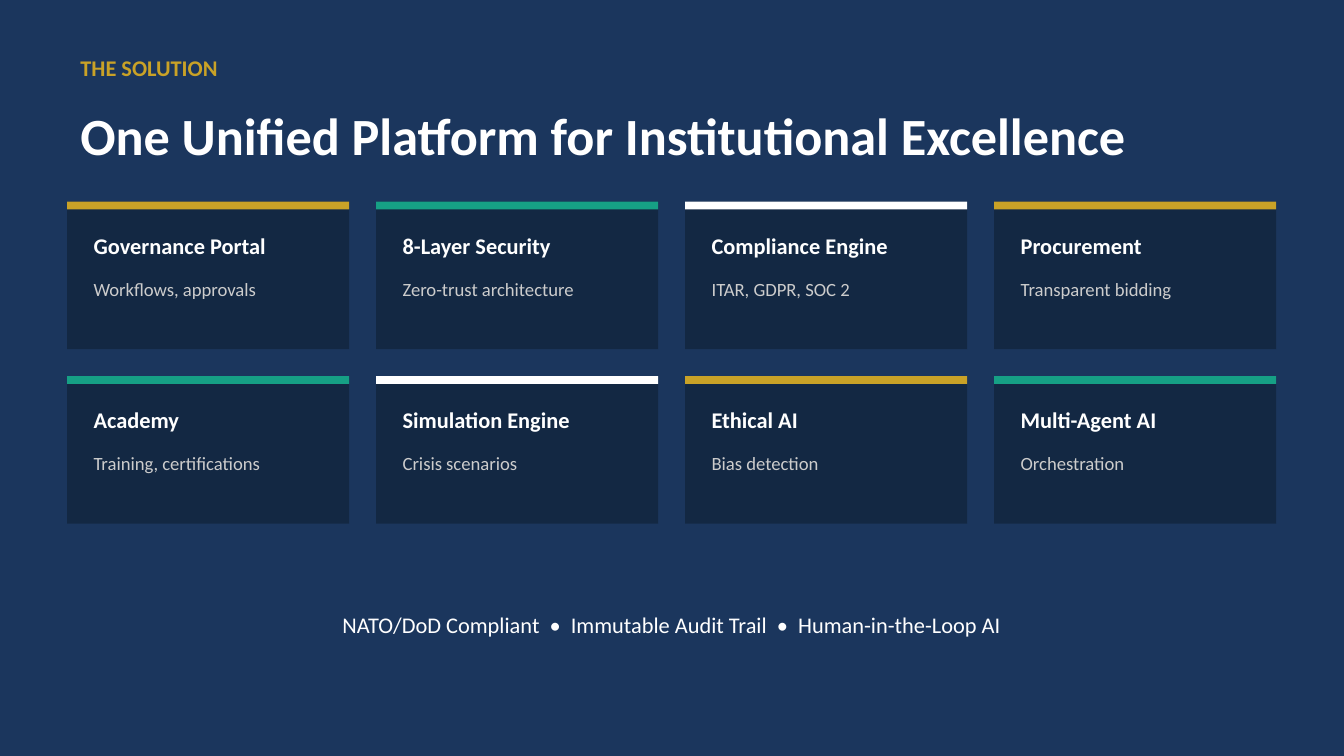
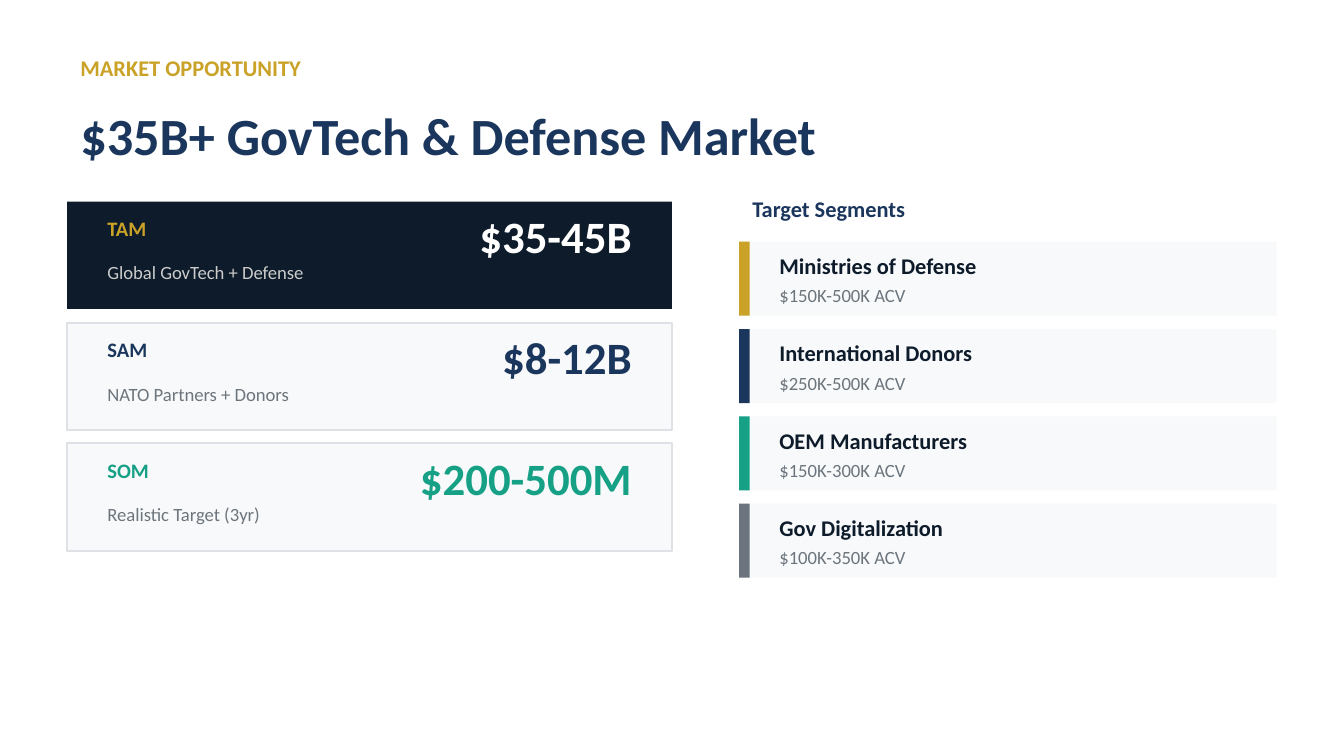
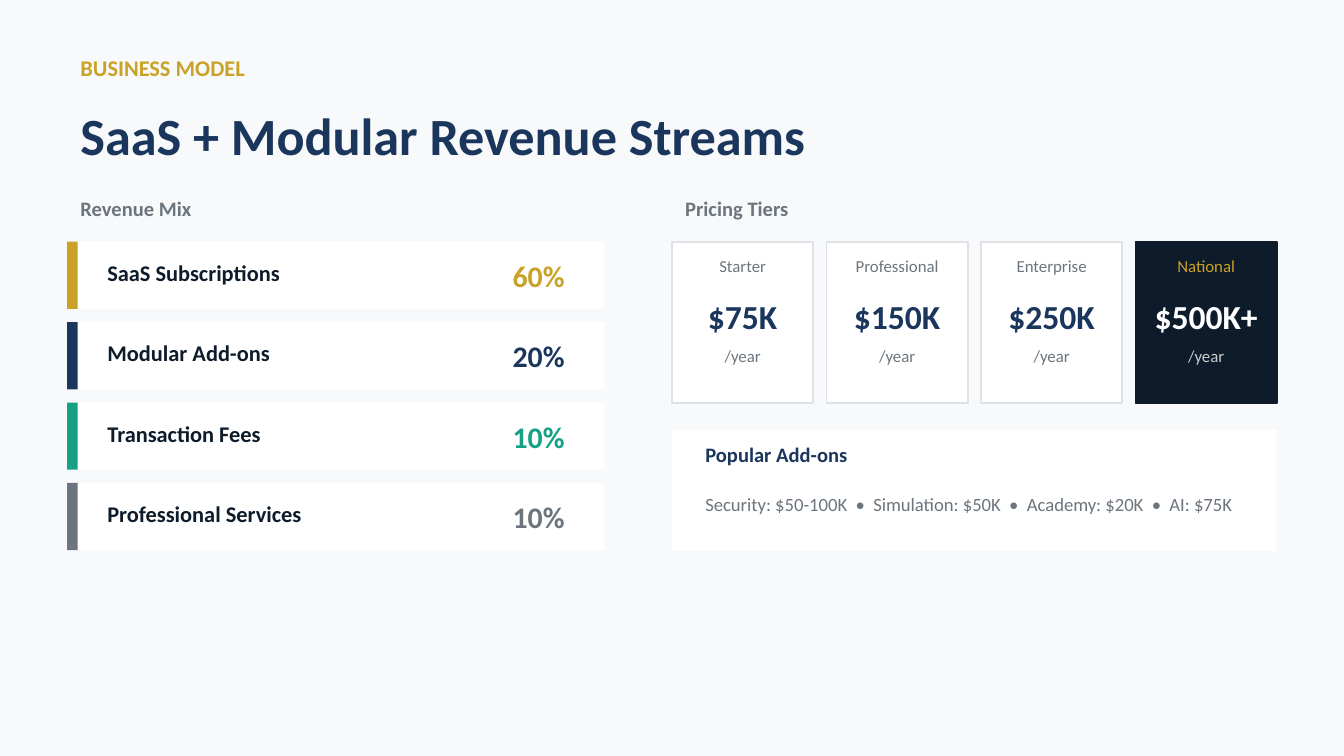
from lxml import etree
from pptx import Presentation
from pptx.dml.color import RGBColor
from pptx.enum.shapes import MSO_SHAPE
from pptx.enum.text import MSO_ANCHOR, PP_ALIGN
from pptx.oxml.ns import qn
from pptx.util import Cm, Pt

RECT = MSO_SHAPE.RECTANGLE
MIDDLE = MSO_ANCHOR.MIDDLE
LEFT, CENTER, RIGHT = PP_ALIGN.LEFT, PP_ALIGN.CENTER, PP_ALIGN.RIGHT

NAVY = RGBColor(0x1B, 0x36, 0x5D)
INK = RGBColor(0x0D, 0x1B, 0x2A)
GOLD = RGBColor(0xC9, 0xA2, 0x27)
TEAL = RGBColor(0x16, 0xA0, 0x85)
WHITE = RGBColor(0xFF, 0xFF, 0xFF)
PALE = RGBColor(0xF8, 0xF9, 0xFA)
BORDER = RGBColor(0xDE, 0xE2, 0xE6)
GRAY = RGBColor(0x6C, 0x75, 0x7D)
SILVER = RGBColor(0xCC, 0xCC, 0xCC)

FONT = "Calibri"
SLIDE_W, SLIDE_H = 25.4, 14.29
MARGIN = 1.27
ACCENT_W = 0.2
DOT = "  •  "


def add_text(s, text, x, y, w, h, size=12, color=INK, bold=False, align=LEFT):
    """Add a one-paragraph text box, centred vertically."""
    tf = s.shapes.add_textbox(Cm(x), Cm(y), Cm(w), Cm(h)).text_frame
    tf.word_wrap = True
    tf.vertical_anchor = MIDDLE
    p = tf.paragraphs[0]
    p.alignment = align
    r = p.add_run()
    r.text = text
    r.font.name = FONT
    r.font.size = Pt(size)
    r.font.bold = bold
    r.font.color.rgb = color


def add_rect(s, x, y, w, h, fill, line=None, alpha=None):
    """Add a flat rectangle with an optional border and opacity in percent."""
    sp = s.shapes.add_shape(RECT, Cm(x), Cm(y), Cm(w), Cm(h))
    sp.shadow.inherit = False
    sp.fill.solid()
    sp.fill.fore_color.rgb = fill
    if alpha is not None:
        clr = sp._element.spPr.find(".//" + qn("a:srgbClr"))
        etree.SubElement(clr, qn("a:alpha")).set("val", str(alpha * 1000))
    if line is None:
        sp.line.fill.background()
    else:
        sp.line.color.rgb = line
        sp.line.width = Pt(1)


def add_slide(prs, background, kicker, title, title_color=NAVY, kicker_w=7.62):
    """Add a blank slide with its background, kicker and title."""
    s = prs.slides.add_slide(prs.slide_layouts[6])
    s.background.fill.solid()
    s.background.fill.fore_color.rgb = background
    add_text(s, kicker, MARGIN, 0.76, kicker_w, 1.02, color=GOLD, bold=True)
    add_text(s, title, MARGIN, 1.78, 22.86, 1.52, size=28, color=title_color, bold=True)
    return s


def add_module_card(s, x, y, name, detail, accent):
    """Add a translucent card with a coloured top edge."""
    add_rect(s, x, y, 5.33, 2.79, INK, alpha=50)
    add_rect(s, x, y, 5.33, 0.15, accent)
    add_text(s, name, x + 0.25, y + 0.38, 4.83, 0.89, color=WHITE, bold=True)
    add_text(s, detail, x + 0.25, y + 1.27, 4.83, 0.76, size=10, color=SILVER)


def add_market_card(s, y, name, value, detail, colors, value_w=4.57):
    """Add a market-size card; colors are fill, line, name, value and detail."""
    fill, line, name_color, value_color, detail_color = colors
    x = MARGIN + 0.51
    add_rect(s, MARGIN, y, 11.43, 2.03, fill, line=line)
    add_text(s, name, x, y + 0.13, 2.54, 0.76, size=11, color=name_color, bold=True)
    add_text(s, value, 12.19 - value_w, y + 0.13, value_w, 1.02, size=24,
             color=value_color, bold=True, align=RIGHT)
    add_text(s, detail, x, y + 1.02, 7.62, 0.64, size=10, color=detail_color)


def add_accent_row(s, x, y, h, fill, accent):
    """Add a row panel with a coloured left edge."""
    add_rect(s, x, y, 10.16, h, fill)
    add_rect(s, x, y, ACCENT_W, h, accent)


def add_segment(s, y, name, detail, accent):
    """Add a target segment row."""
    x = 13.97
    add_accent_row(s, x, y, 1.4, PALE, accent)
    add_text(s, name, x + 0.51, y + 0.13, 8.89, 0.64, bold=True)
    add_text(s, detail, x + 0.51, y + 0.76, 8.89, 0.51, size=10, color=GRAY)


def add_revenue_row(s, y, name, share, accent):
    """Add a revenue stream row with its share."""
    add_accent_row(s, MARGIN, y, 1.27, WHITE, accent)
    add_text(s, name, MARGIN + 0.51, y + 0.2, 6.35, 0.76, bold=True)
    add_text(s, share, 8.89, y + 0.13, 2.03, 1.02, size=16, color=accent,
             bold=True, align=RIGHT)


def add_price_tier(s, x, name, price, featured):
    """Add a pricing tier, dark when featured."""
    y, w = 4.57, 2.67
    fill, line, name_color, price_color, unit_color = (
        (INK, INK, GOLD, WHITE, SILVER) if featured
        else (WHITE, BORDER, GRAY, NAVY, GRAY))
    add_rect(s, x, y, w, 3.05, fill, line=line)
    add_text(s, name, x, y + 0.13, w, 0.64, size=9, color=name_color, align=CENTER)
    add_text(s, price, x, y + 0.89, w, 1.02, size=18, color=price_color,
             bold=True, align=CENTER)
    add_text(s, "/year", x, y + 1.9, w, 0.51, size=9, color=unit_color, align=CENTER)


def build_solution(prs):
    """Build the platform overview slide."""
    s = add_slide(prs, NAVY, "THE SOLUTION",
                  "One Unified Platform for Institutional Excellence", title_color=WHITE)
    modules = [
        ("Governance Portal", "Workflows, approvals"),
        ("8-Layer Security", "Zero-trust architecture"),
        ("Compliance Engine", "ITAR, GDPR, SOC 2"),
        ("Procurement", "Transparent bidding"),
        ("Academy", "Training, certifications"),
        ("Simulation Engine", "Crisis scenarios"),
        ("Ethical AI", "Bias detection"),
        ("Multi-Agent AI", "Orchestration"),
    ]
    accents = [GOLD, TEAL, WHITE]
    for i, (name, detail) in enumerate(modules):
        row, col = divmod(i, 4)
        add_module_card(s, MARGIN + col * 5.84, 3.81 + row * 3.3, name, detail,
                        accents[i % 3])
    claims = ["NATO/DoD Compliant", "Immutable Audit Trail", "Human-in-the-Loop AI"]
    add_text(s, DOT.join(claims), 0, 11.43, SLIDE_W, 0.76, color=WHITE, align=CENTER)


def build_market(prs):
    """Build the market opportunity slide."""
    s = add_slide(prs, WHITE, "MARKET OPPORTUNITY", "$35B+ GovTech & Defense Market",
                  kicker_w=10.16)
    add_market_card(s, 3.81, "TAM", "$35-45B", "Global GovTech + Defense",
                    (INK, None, GOLD, WHITE, SILVER))
    add_market_card(s, 6.1, "SAM", "$8-12B", "NATO Partners + Donors",
                    (PALE, BORDER, NAVY, NAVY, GRAY))
    add_market_card(s, 8.38, "SOM", "$200-500M", "Realistic Target (3yr)",
                    (PALE, BORDER, TEAL, TEAL, GRAY), value_w=5.84)
    add_text(s, "Target Segments", 13.97, 3.56, 10.16, 0.76, color=NAVY, bold=True)
    segments = [
        ("Ministries of Defense", "$150K-500K ACV", GOLD),
        ("International Donors", "$250K-500K ACV", NAVY),
        ("OEM Manufacturers", "$150K-300K ACV", TEAL),
        ("Gov Digitalization", "$100K-350K ACV", GRAY),
    ]
    for i, segment in enumerate(segments):
        add_segment(s, 4.57 + i * 1.65, *segment)


def build_business_model(prs):
    """Build the revenue and pricing slide."""
    s = add_slide(prs, PALE, "BUSINESS MODEL", "SaaS + Modular Revenue Streams")
    right = 12.7
    for x, heading in [(MARGIN, "Revenue Mix"), (right, "Pricing Tiers")]:
        add_text(s, heading, x, 3.56, 7.62, 0.76, size=11, color=GRAY, bold=True)
    streams = [
        ("SaaS Subscriptions", "60%", GOLD),
        ("Modular Add-ons", "20%", NAVY),
        ("Transaction Fees", "10%", TEAL),
        ("Professional Services", "10%", GRAY),
    ]
    for i, stream in enumerate(streams):
        add_revenue_row(s, 4.57 + i * 1.52, *stream)
    tiers = [("Starter", "$75K"), ("Professional", "$150K"),
             ("Enterprise", "$250K"), ("National", "$500K+")]
    for i, (name, price) in enumerate(tiers):
        add_price_tier(s, right + i * 2.92, name, price, featured=name == "National")
    add_rect(s, right, 8.13, 11.43, 2.29, WHITE)
    add_text(s, "Popular Add-ons", right + 0.38, 8.26, 10.16, 0.64, size=11,
             color=NAVY, bold=True)
    addons = ["Security: $50-100K", "Simulation: $50K", "Academy: $20K", "AI: $75K"]
    add_text(s, DOT.join(addons), right + 0.38, 9.02, 10.67, 1.02, size=10, color=GRAY)


def main():
    """Build and save the presentation."""
    prs = Presentation()
    prs.slide_width, prs.slide_height = Cm(SLIDE_W), Cm(SLIDE_H)
    build_solution(prs)
    build_market(prs)
    build_business_model(prs)
    prs.save("out.pptx")


if __name__ == "__main__":
    main()
